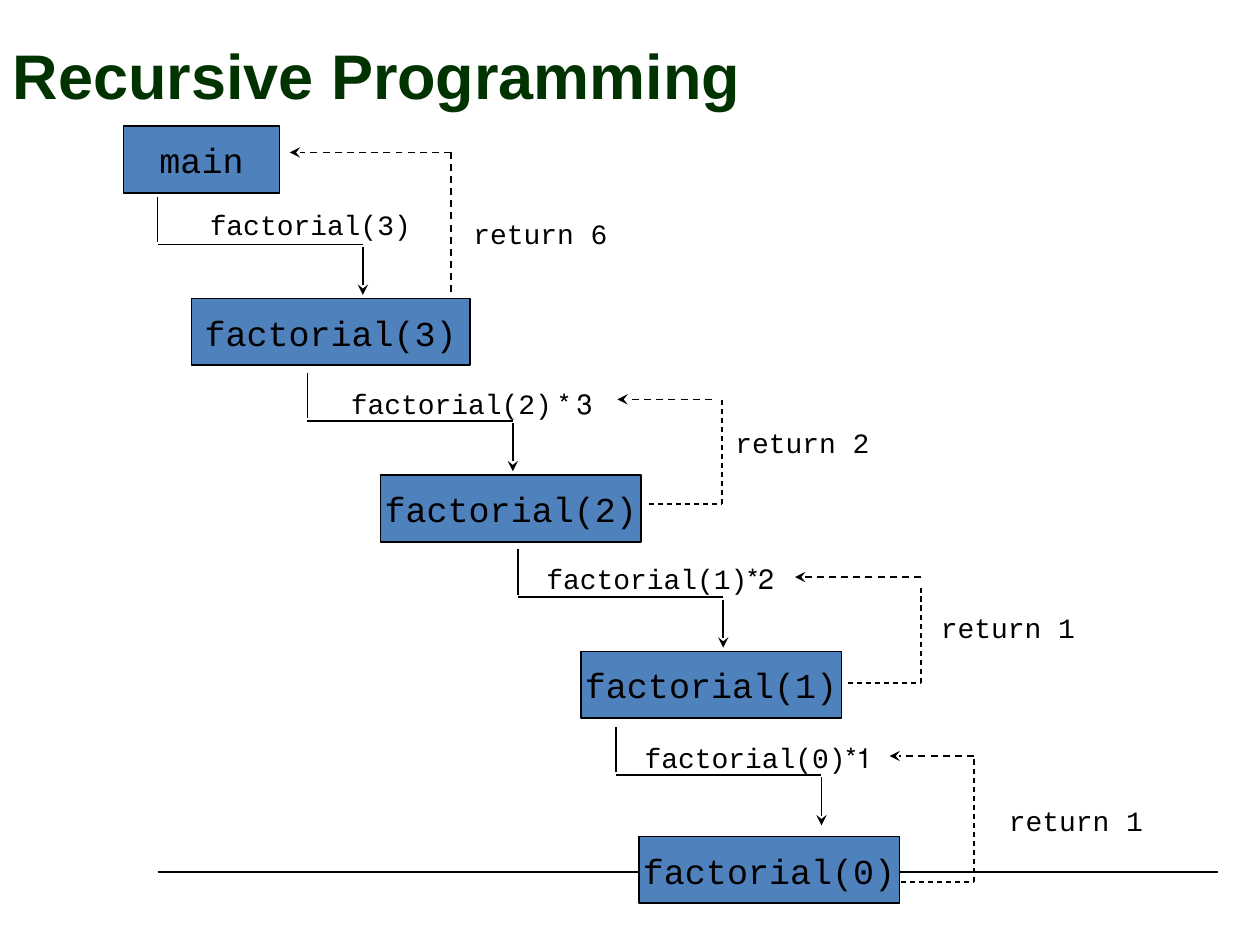
from dataclasses import dataclass
from typing import Optional

from lxml import etree
from pptx import Presentation
from pptx import util as u
from pptx.dml.color import RGBColor
from pptx.enum import dml, shapes, text
from pptx.oxml.ns import qn


@dataclass(frozen=True)
class Theme:
    """Colours, fonts, type sizes and line widths."""
    title_color: RGBColor = RGBColor(0x00, 0x33, 0x00)
    ink: RGBColor = RGBColor(0, 0, 0)
    box_fill: RGBColor = RGBColor(0x4F, 0x81, 0xBD)
    title_font: str = "Arial"
    code_font: str = "Courier New"
    title_size: int = 36
    box_size: int = 20
    label_size: int = 16
    line: float = 1
    thin_line: float = 0.75


@dataclass(frozen=True)
class Call:
    """An elbow arrow into the next frame, and its label."""
    label: str
    label_box: tuple
    corner: tuple


@dataclass(frozen=True)
class Return:
    """A dashed path back to the caller, and its label."""
    label: str
    label_at: tuple
    tip: tuple
    arrow_start: float
    riser: tuple
    foot: Optional[float] = None


THEME = Theme()
BOX_HEIGHT = 0.53
LABEL_HEIGHT = 0.37

FRAMES = [
    ("main", 0.98, 1, 1.24),
    ("factorial(3)", 1.52, 2.37, 2.21),
    ("factorial(2)", 3.02, 3.77, 2.07),
    ("factorial(1)", 4.61, 5.17, 2.07),
    ("factorial(0)", 5.07, 6.64, 2.07),
]
CALLS = [
    Call("factorial(3)", (1.56, 1.6, 1.8), (1.25, 1.56)),
    Call("3 * factorial(2)", (2.67, 3.02, 2.13), (2.44, 2.96)),
    Call("2*factorial(1)", (4.23, 4.41, 2.01), (4.11, 4.36)),
    Call("1*factorial(0)", (5.01, 5.83, 2.01), (4.89, 5.77)),
]
# A riser is (x, top, bottom).
RETURNS = [
    Return("return 6", (3.65, 1.67), (2.3, 1.21), 3.58, (3.58, 1.21, 2.32)),
    Return("return 2", (5.73, 3.33), (4.9, 3.17), 5.65, (5.73, 3.17, 4), 5.15),
    Return("return 1", (7.36, 4.8), (6.31, 4.58), 7.31, (7.31, 4.67, 5.42), 6.73),
    Return("return 1", (7.9, 6.33), (7.06, 6), 7.73, (7.73, 6, 7), 7.15),
]


def inches(*values):
    """Convert several numbers to lengths."""
    return [u.Inches(value) for value in values]


def add_line(slide, start, end, width=THEME.line, dashed=False, arrow=False):
    """Draw a straight line, with an arrowhead at its end if asked."""
    line = slide.shapes.add_connector(
        shapes.MSO_CONNECTOR.STRAIGHT, *inches(*start, *end))
    line.line.color.rgb = THEME.ink
    line.line.width = u.Pt(width)
    if dashed:
        line.line.dash_style = dml.MSO_LINE.DASH
    if arrow:
        etree.SubElement(line.line._get_or_add_ln(), qn("a:tailEnd"), type="stealth")
    etree.SubElement(line._element.spPr, qn("a:effectLst"))


def set_code(shape, content, size, alignment):
    """Write one right-to-left line of code, so a factor follows its call."""
    shape.text_frame.word_wrap = False
    paragraph = shape.text_frame.paragraphs[0]
    paragraph.text = content
    paragraph.alignment = alignment
    paragraph.font.name = THEME.code_font
    paragraph.font.size = u.Pt(size)
    paragraph.font.color.rgb = THEME.ink
    paragraph._p.get_or_add_pPr().set("rtl", "1")


def add_title(slide, content, left, top, width, height):
    """Place and format the slide title."""
    title = slide.shapes.title
    title.left, title.top, title.width, title.height = inches(left, top, width, height)
    title.text_frame.text = content
    title.text_frame.vertical_anchor = text.MSO_ANCHOR.MIDDLE
    paragraph = title.text_frame.paragraphs[0]
    paragraph.alignment = text.PP_ALIGN.LEFT
    paragraph.font.name = THEME.title_font
    paragraph.font.size = u.Pt(THEME.title_size)
    paragraph.font.bold = True
    paragraph.font.color.rgb = THEME.title_color


def add_frame(slide, name, left, top, width):
    """Draw the box of one function call."""
    box = slide.shapes.add_shape(
        shapes.MSO_SHAPE.RECTANGLE, *inches(left, top, width, BOX_HEIGHT))
    box.shadow.inherit = False
    box.fill.solid()
    box.fill.fore_color.rgb = THEME.box_fill
    box.line.color.rgb = THEME.ink
    box.line.width = u.Pt(THEME.line)
    box.text_frame.vertical_anchor = text.MSO_ANCHOR.MIDDLE
    set_code(box, name, THEME.box_size, text.PP_ALIGN.CENTER)


def add_label(slide, content, left, top, width):
    """Write the label of a call or a return."""
    label = slide.shapes.add_textbox(*inches(left, top, width, LABEL_HEIGHT))
    set_code(label, content, THEME.label_size, text.PP_ALIGN.RIGHT)


def add_call(slide, call):
    """Draw a call: down, across, and down into the next frame."""
    x, y = call.corner
    right = x + 1.63
    add_line(slide, (x, y), (x, y + 0.36))
    add_line(slide, (x, y + 0.38), (right, y + 0.38))
    add_line(slide, (right, y + 0.4), (right, y + 0.78), arrow=True)
    add_label(slide, call.label, *call.label_box)


def add_return(slide, back):
    """Draw a return: out of the frame, up, and back to the caller."""
    x, top, bottom = back.riser
    width = THEME.line if back.foot is None else THEME.thin_line
    if back.foot is not None:
        add_line(slide, (back.foot, bottom), (x, bottom), width, dashed=True)
    add_line(slide, (x, bottom), (x, top), width, dashed=True)
    add_line(slide, (back.arrow_start, back.tip[1]), back.tip, dashed=True, arrow=True)
    add_label(slide, back.label, *back.label_at, 1.27)


def build():
    """Build the slide and save it."""
    presentation = Presentation()
    presentation.slide_width, presentation.slide_height = inches(10, 7.5)
    slide = presentation.slides.add_slide(presentation.slide_layouts[5])
    add_line(slide, (1.25, 6.92), (9.67, 6.92), THEME.thin_line)
    add_title(slide, "Recursive Programming", 0, 0.3, 9, 0.58)
    for frame in FRAMES:
        add_frame(slide, *frame)
    for call in CALLS:
        add_call(slide, call)
    for back in RETURNS:
        add_return(slide, back)
    presentation.save("out.pptx")


build()
